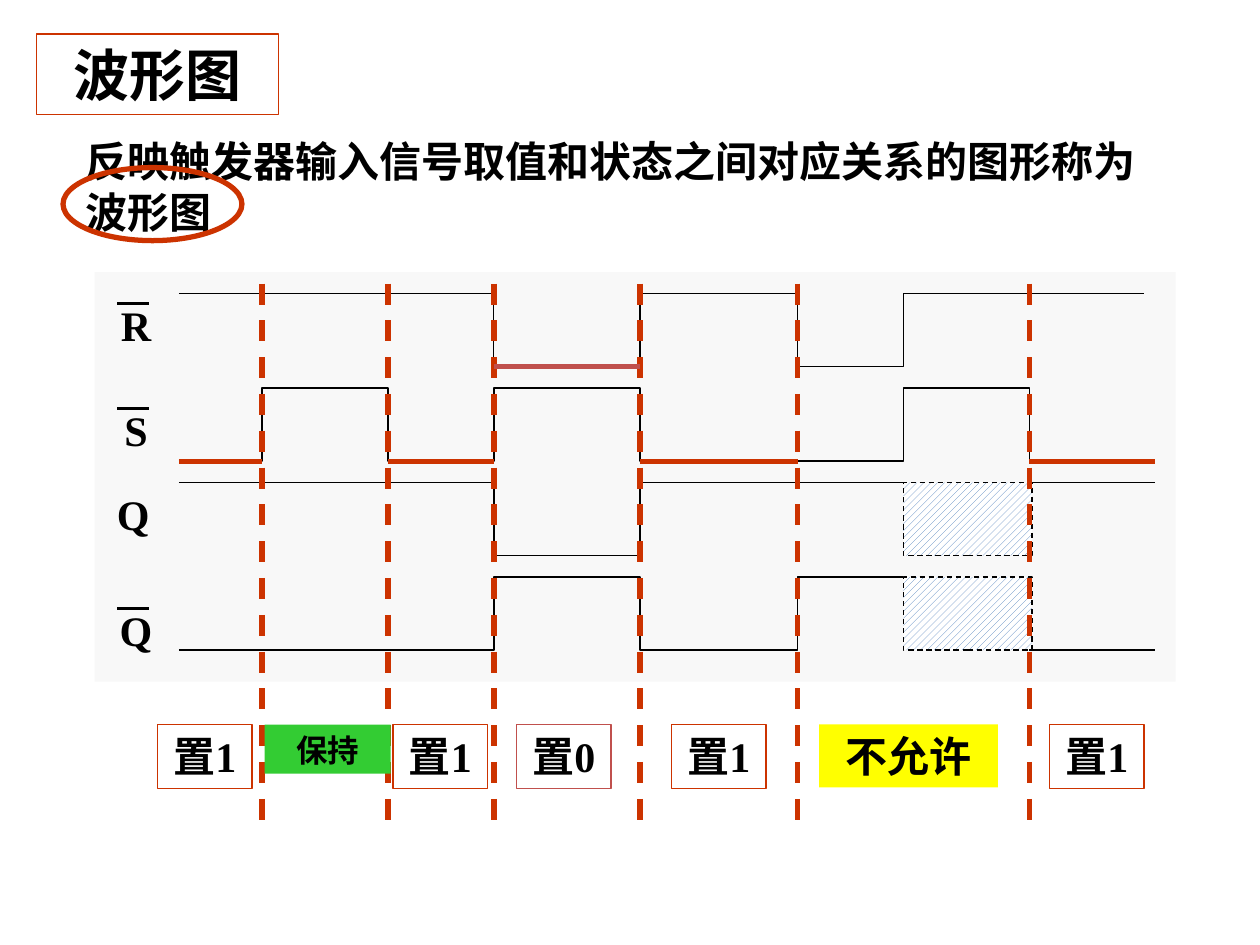
from dataclasses import dataclass

from lxml import etree
from pptx import Presentation
from pptx.dml.color import RGBColor
from pptx.enum.dml import MSO_LINE, MSO_PATTERN
from pptx.enum.shapes import MSO_CONNECTOR, MSO_SHAPE
from pptx.enum.text import MSO_ANCHOR, MSO_AUTO_SIZE, PP_ALIGN
from pptx.oxml.ns import qn
from pptx.util import Inches, Pt

RECTANGLE, OVAL = MSO_SHAPE.RECTANGLE, MSO_SHAPE.OVAL
STRAIGHT = MSO_CONNECTOR.STRAIGHT
DASH = MSO_LINE.DASH
HATCH = MSO_PATTERN.WIDE_UPWARD_DIAGONAL
LEFT, CENTER = PP_ALIGN.LEFT, PP_ALIGN.CENTER
TOP, FIXED_SIZE = MSO_ANCHOR.TOP, MSO_AUTO_SIZE.NONE


@dataclass(frozen=True)
class Theme:
    """Colours, font and sizes in points."""
    font: str = "Times New Roman"
    ink: str = "000000"
    accent: str = "CC3300"
    reset: str = "C0504D"
    panel: str = "F8F8F8"
    hatch: str = "4F81BD"
    paper: str = "FFFFFF"
    hold: str = "33CC33"
    forbidden: str = "FFFF00"
    title: int = 32
    body: int = 24
    small: int = 18
    thin: float = 0.75
    medium: float = 1.5
    thick: float = 3


THEME = Theme()
SWING = 0.58
WAVE_LEFT = 1.42
WAVE_RIGHT = 9.17
UNKNOWN_LEFT = 7.17
EDGES = (2.08, 3.08, 3.92, 5.08, 6.33, 8.17)
R_TOP, S_TOP, Q_TOP, Q_BAR_TOP = 2.33, 3.08, 3.83, 4.58
STATE_TOP = 5.75


def rgb(value):
    """Turn a hex string into a colour."""
    return RGBColor.from_string(value)


def apply_format(target, values):
    """Set every named attribute on the target."""
    for name, value in values.items():
        setattr(target, name, value)


def style_line(line, color, width, dash=None):
    """Colour and size an outline or a connector."""
    line.color.rgb = rgb(color)
    apply_format(line, {"width": Pt(width), "dash_style": dash})


def write_text(shape, text, size, align=CENTER):
    """Write one bold paragraph into a shape."""
    frame = shape.text_frame
    apply_format(frame, {"word_wrap": True, "auto_size": FIXED_SIZE,
                         "vertical_anchor": TOP})
    paragraph = frame.paragraphs[0]
    paragraph.alignment = align
    run = paragraph.add_run()
    run.text = text
    apply_format(run.font, {"name": THEME.font, "size": Pt(size), "bold": True})
    run.font.color.rgb = rgb(THEME.ink)


def add_box(slide, bounds, fill=None, line=None, width=THEME.thin, kind=RECTANGLE):
    """Add a preset shape with an optional fill and outline."""
    shape = slide.shapes.add_shape(kind, *map(Inches, bounds))
    shape.shadow.inherit = False
    if fill:
        shape.fill.solid()
        shape.fill.fore_color.rgb = rgb(fill)
    else:
        shape.fill.background()
    if line:
        style_line(shape.line, line, width)
    else:
        shape.line.fill.background()
    return shape


def add_text(slide, bounds, text, align=CENTER):
    """Add a plain text box."""
    box = slide.shapes.add_textbox(*map(Inches, bounds))
    write_text(box, text, THEME.body, align)


def add_line(slide, start, end, color=THEME.ink, width=THEME.thin, dash=None):
    """Add a straight line without a shadow."""
    connector = slide.shapes.add_connector(STRAIGHT, *map(Inches, start + end))
    style_line(connector.line, color, width, dash)
    etree.SubElement(connector._element.spPr, qn("a:effectLst"))


def add_wave(slide, top, high, toggles, right):
    """Draw a two-level signal that switches at each toggle."""
    levels = {True: top + SWING, False: top}
    level = levels[not high]
    builder = slide.shapes.build_freeform(Inches(WAVE_LEFT), Inches(level))
    points = []
    for edge in toggles:
        points.append((Inches(edge), Inches(level)))
        high = not high
        level = levels[not high]
        points.append((Inches(edge), Inches(level)))
    points.append((Inches(right), Inches(level)))
    builder.add_line_segments(points, close=False)
    shape = builder.convert_to_shape()
    shape.shadow.inherit = False
    shape.fill.background()
    style_line(shape.line, THEME.ink, THEME.thin)


def add_unknown(slide, top):
    """Add a hatched block for an undetermined state."""
    shape = add_box(slide, (UNKNOWN_LEFT, top, 1.02, SWING), line=THEME.ink)
    shape.fill.patterned()
    shape.fill.pattern = HATCH
    shape.fill.fore_color.rgb = rgb(THEME.hatch)
    shape.fill.back_color.rgb = rgb(THEME.paper)
    shape.line.dash_style = DASH


def add_signal_label(slide, top, name, barred):
    """Add a signal name, with an overbar if it is inverted."""
    add_text(slide, (0.83, top, 0.5, 0.5), name, CENTER if barred else LEFT)
    if barred:
        add_line(slide, (0.93, top + 0.08), (1.18, top + 0.08), width=THEME.medium)


def add_heading(slide):
    """Add the title, the definition and the ring around the term."""
    title = add_box(slide, (0.29, 0.27, 1.92, 0.64), line=THEME.accent)
    write_text(title, "波形图", THEME.title)
    add_text(slide, (0.58, 1.03, 8.83, 0.89),
             "反映触发器输入信号取值和状态之间对应关系的图形称为波形图", LEFT)
    add_box(slide, (0.5, 1.33, 1.42, 0.58), line=THEME.accent,
            width=THEME.thick, kind=OVAL)


def add_diagram(slide):
    """Add the timing diagram with its edges and active levels."""
    add_box(slide, (0.75, 2.16, 8.58, 3.25), fill=THEME.panel)
    first, second, third, fourth, fifth, last = EDGES
    add_wave(slide, S_TOP, False,
             (first, second, third, fourth, UNKNOWN_LEFT, last), WAVE_RIGHT)
    add_wave(slide, Q_TOP, True, (third, fourth), UNKNOWN_LEFT)
    add_wave(slide, Q_BAR_TOP, False, (third, fourth, fifth), UNKNOWN_LEFT)
    add_wave(slide, R_TOP, True, (third, fourth, fifth, UNKNOWN_LEFT), 9.08)
    for top, level in ((Q_TOP, Q_TOP), (Q_BAR_TOP, Q_BAR_TOP + SWING)):
        add_unknown(slide, top)
        add_line(slide, (last, level), (WAVE_RIGHT, level))
    for top, name, barred in ((2.33, "R", True), (3.16, "S", True),
                              (4.75, "Q", True), (3.83, "Q", False)):
        add_signal_label(slide, top, name, barred)
    for edge in EDGES:
        add_line(slide, (edge, 2.25), (edge, 6.58), THEME.accent, THEME.thick, DASH)
    low = S_TOP + SWING
    for left, right in ((WAVE_LEFT, first), (second, third),
                        (fourth, fifth), (last, WAVE_RIGHT)):
        add_line(slide, (left, low), (right, low), THEME.accent, THEME.thick)
    low = R_TOP + SWING
    add_line(slide, (third, low), (fourth, low), THEME.reset, THEME.thick)


def add_states(slide):
    """Name the state in each interval."""
    for left, text, color in ((1.25, "置1", THEME.accent), (4.1, "置0", THEME.reset),
                              (3.12, "置1", THEME.accent), (5.33, "置1", THEME.accent),
                              (8.33, "置1", THEME.accent)):
        box = add_box(slide, (left, STATE_TOP, 0.75, 0.51), line=color)
        write_text(box, text, THEME.body)
    for left, width, height, text, size, fill in (
            (2.1, 1, 0.39, "保持", THEME.small, THEME.hold),
            (6.5, 1.42, 0.5, "不允许", THEME.body, THEME.forbidden)):
        box = add_box(slide, (left, STATE_TOP, width, height), fill=fill)
        write_text(box, text, size)


def main():
    """Build and save the slide."""
    presentation = Presentation()
    apply_format(presentation, {"slide_width": Inches(10), "slide_height": Inches(7.5)})
    slide = presentation.slides.add_slide(presentation.slide_layouts[6])
    add_heading(slide)
    add_diagram(slide)
    add_states(slide)
    presentation.save("out.pptx")


if __name__ == "__main__":
    main()
